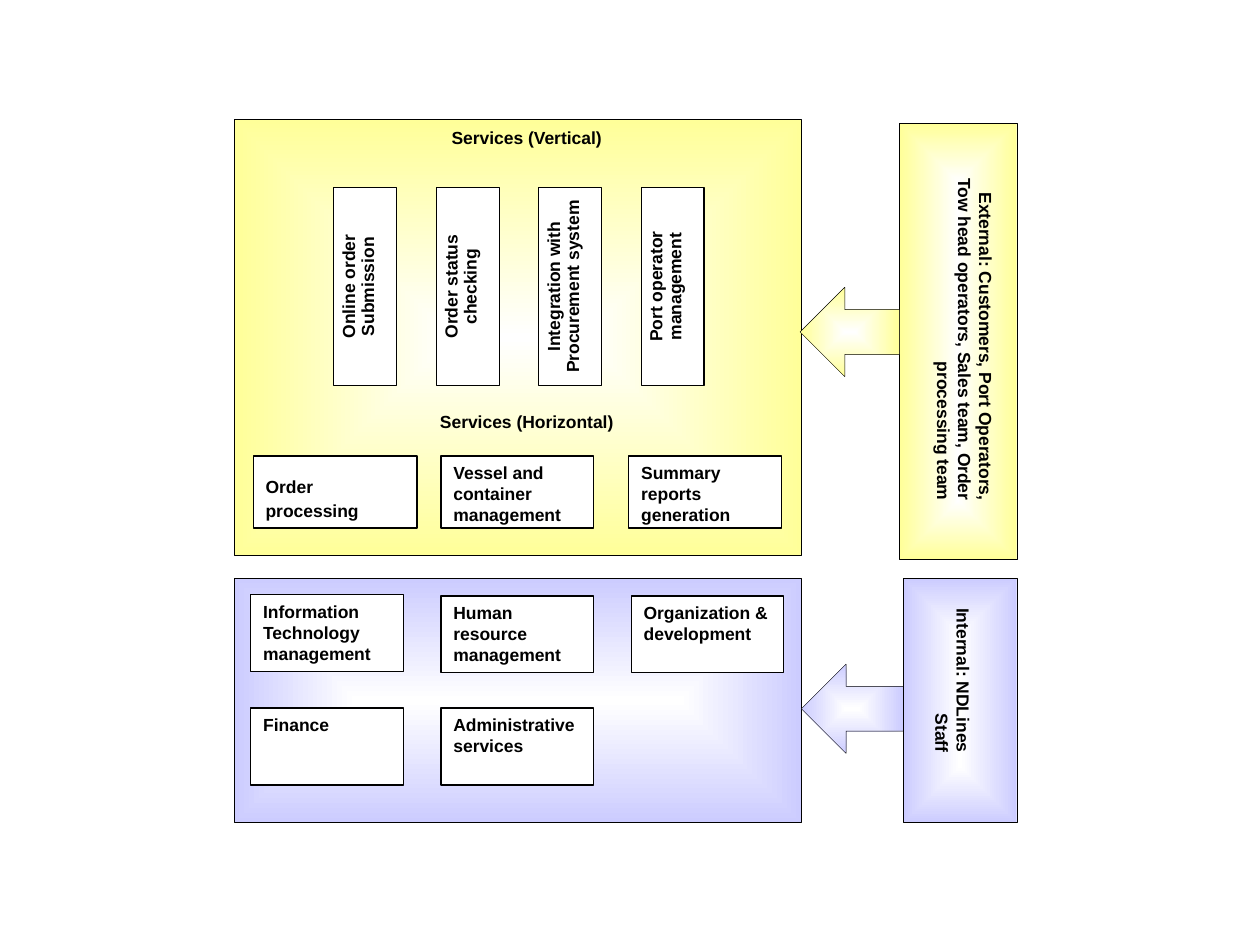
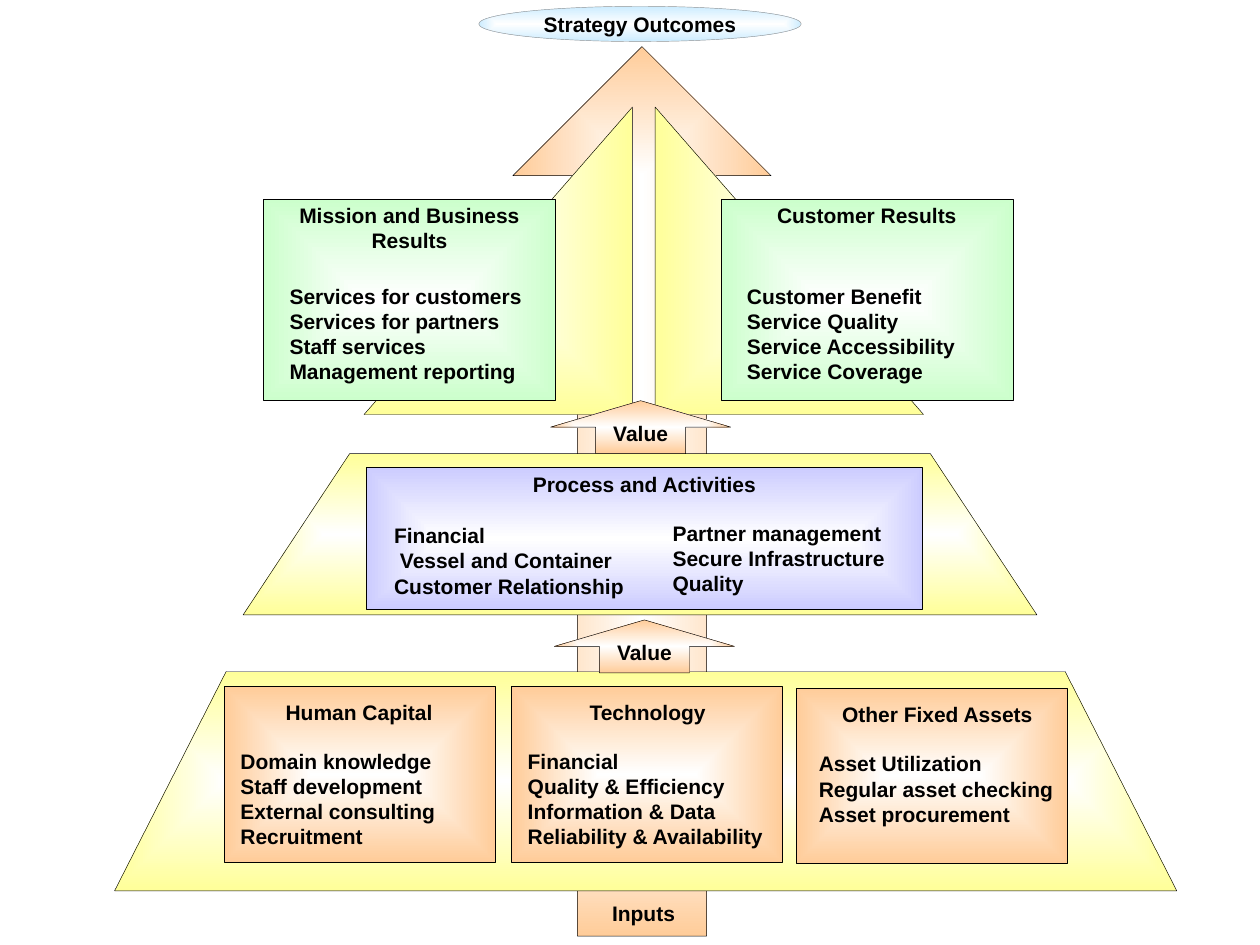
import pptx
import pptx.util
import pptx.dml.color
import pptx.enum.shapes
import pptx.enum.text
import pptx.oxml
import pptx.oxml.ns

Inches = pptx.util.Inches
Pt = pptx.util.Pt
RGBColor = pptx.dml.color.RGBColor
MSO_SHAPE = pptx.enum.shapes.MSO_SHAPE
LEFT = pptx.enum.text.PP_ALIGN.LEFT
CENTER = pptx.enum.text.PP_ALIGN.CENTER
RIGHT = pptx.enum.text.PP_ALIGN.RIGHT
TOP = pptx.enum.text.MSO_ANCHOR.TOP
MIDDLE = pptx.enum.text.MSO_ANCHOR.MIDDLE

WHITE = RGBColor(0xFF, 0xFF, 0xFF)
BLACK = RGBColor(0x00, 0x00, 0x00)
GREY = RGBColor(0x96, 0x96, 0x96)
YELLOW = RGBColor(0xFF, 0xFF, 0x99)
LAVENDER = RGBColor(0xCC, 0xCC, 0xFF)
ORANGE = RGBColor(0xFF, 0xCC, 0x99)
GREEN = RGBColor(0xCC, 0xFF, 0xCC)
SKY = RGBColor(0xCC, 0xEC, 0xFF)
FONT = "Arial"
GLOW = (
    '<a:path xmlns:a="http://schemas.openxmlformats.org/drawingml/2006/main" path="shape">'
    '<a:fillToRect l="50000" t="50000" r="50000" b="50000"/></a:path>'
)


def add_block(slide, kind, box, color, outline=BLACK):
    block = slide.shapes.add_shape(kind, *map(Inches, box))
    block.shadow.inherit = False
    block.line.color.rgb = outline
    if color == WHITE:
        block.fill.solid()
        block.fill.fore_color.rgb = WHITE
        block.line.width = Pt(0.75)
        return block
    block.fill.gradient()
    for stop, stop_color in zip(block.fill.gradient_stops, (WHITE, color)):
        stop.color.rgb = stop_color
    gradient = block._element.spPr.find(pptx.oxml.ns.qn("a:gradFill"))
    gradient.replace(gradient.find(pptx.oxml.ns.qn("a:lin")), pptx.oxml.parse_xml(GLOW))
    block.line.width = Pt(0.25)
    return block


def write(holder, lines, size, align=LEFT, spacing=None, direction=None, anchor=TOP):
    frame = holder.text_frame
    frame.word_wrap = True
    frame.vertical_anchor = anchor
    frame.text = "\n".join(lines)
    if direction:
        frame._txBody.bodyPr.set("vert", direction)
    for paragraph in frame.paragraphs:
        paragraph.alignment = align
        paragraph.line_spacing = spacing
        paragraph.font.name = FONT
        paragraph.font.size = Pt(size)
        paragraph.font.bold = True
        paragraph.font.color.rgb = BLACK
    return frame


deck = pptx.Presentation()
deck.slide_width = Inches(10)
deck.slide_height = Inches(7.5)
blank = deck.slide_layouts[6]

services = deck.slides.add_slide(blank)
for kind, box, color in (
    (MSO_SHAPE.RECTANGLE, (1.86, 0.95, 4.5, 3.46), YELLOW),
    (MSO_SHAPE.RECTANGLE, (1.86, 4.59, 4.5, 1.94), LAVENDER),
    (MSO_SHAPE.RECTANGLE, (7.14, 0.98, 0.93, 3.46), YELLOW),
    (MSO_SHAPE.LEFT_ARROW, (6.35, 2.28, 0.79, 0.71), YELLOW),
    (MSO_SHAPE.RECTANGLE, (7.17, 4.59, 0.9, 1.94), LAVENDER),
    (MSO_SHAPE.LEFT_ARROW, (6.36, 5.27, 0.81, 0.71), LAVENDER),
):
    add_block(services, kind, box, color)

for heading, top in (("Services (Vertical)", 0.98), ("Services (Horizontal)", 3.23)):
    heading_box = services.shapes.add_textbox(Inches(2.91), Inches(top), Inches(2.54), Inches(0.25))
    write(heading_box, [heading], 10, CENTER, 0.9)

vertical_services = (
    "Online order Submission",
    "Order status checking",
    "Integration with Procurement system",
    "Port operator management",
)
for column, service in enumerate(vertical_services):
    pillar = add_block(services, MSO_SHAPE.RECTANGLE, (2.65 + column * 0.813, 1.49, 0.5, 1.57), WHITE)
    write(pillar, [service], 10, CENTER, 0.9, "vert270")

order_box = add_block(services, MSO_SHAPE.RECTANGLE, (2.01, 3.62, 1.3, 0.57), WHITE)
order_line = write(order_box, ["Order"], 10).paragraphs[0]
wide_space = order_line.add_run()
wide_space.text = " "
wide_space.font.size = Pt(18)
wide_space.font.bold = False
order_line.add_run().text = "processing"

for name, left, top, height in (
    ("Vessel and container management", 3.5, 3.62, 0.57),
    ("Summary reports generation", 4.99, 3.62, 0.57),
    ("Information Technology management", 1.99, 4.72, 0.61),
    ("Human resource management", 3.5, 4.73, 0.61),
    ("Organization & development", 5.01, 4.73, 0.61),
    ("Finance", 1.99, 5.62, 0.61),
    ("Administrative services", 3.5, 5.62, 0.61),
):
    write(add_block(services, MSO_SHAPE.RECTANGLE, (left, top, 1.21, height), WHITE), [name], 10)

external = "External: Customers, Port Operators, Tow head operators, Sales team, Order processing team"
for users, box in (
    (external, (7.25, 1.25, 0.71, 2.82)),
    ("Internal: NDLines Staff", (7.25, 4.65, 0.53, 1.42)),
):
    users_box = services.shapes.add_textbox(*map(Inches, box))
    write(users_box, [users], 10, RIGHT, None, "vert")

strategy = deck.slides.add_slide(blank)
add_block(strategy, MSO_SHAPE.UP_ARROW, (4.07, 0.37, 2.05, 7.06), ORANGE)
add_block(strategy, MSO_SHAPE.RIGHT_TRIANGLE, (5.2, 0.85, 2.13, 2.44), YELLOW)
for box, slant in (((1.93, 3.6, 6.3, 1.28), 0.661), ((0.91, 5.33, 8.43, 1.74), 0.509)):
    tier = add_block(strategy, MSO_SHAPE.TRAPEZOID, box, YELLOW)
    tier.adjustments[0] = slant
left_wing = add_block(strategy, MSO_SHAPE.RIGHT_TRIANGLE, (2.89, 0.85, 2.13, 2.44), YELLOW)
left_wing._element.spPr.xfrm.set("flipH", "1")

cards = (
    ((2.09, 1.58, 2.32, 1.6), GREEN, "Mission and Business Results", (2.09, 1.56, 2.32), (
        (2.2, 2.2, ("Services for customers", "Services for partners",
                    "Staff services", "Management reporting")),)),
    ((5.72, 1.58, 2.32, 1.6), GREEN, "Customer Results", (5.72, 1.56, 2.32), (
        (5.83, 2.2, ("Customer Benefit", "Service Quality",
                     "Service Accessibility", "Service Coverage")),)),
    ((2.91, 3.71, 4.41, 1.13), LAVENDER, "Process and Activities", (2.91, 3.69, 4.41), (
        (3.03, 4.1, ("Financial", " Vessel and Container", "Customer Relationship")),
        (5.24, 4.08, ("Partner management", "Secure Infrastructure", "Quality")))),
    ((1.78, 5.45, 2.15, 1.39), ORANGE, "Human Capital", (1.69, 5.5, 2.32), (
        (1.81, 5.89, ("Domain knowledge", "Staff development",
                      "External consulting", "Recruitment")),)),
    ((4.06, 5.45, 2.15, 1.39), ORANGE, "Technology", (3.98, 5.5, 2.32), (
        (4.09, 5.89, ("Financial", "Quality & Efficiency",
                      "Information & Data", "Reliability & Availability")),)),
    ((6.32, 5.46, 2.15, 1.39), ORANGE, "Other Fixed Assets", (6.28, 5.52, 2.32), (
        (6.4, 5.91, ("Asset Utilization", "Regular asset checking", "Asset procurement")),)),
)
for box, color, heading, heading_place, topic_lists in cards:
    add_block(strategy, MSO_SHAPE.RECTANGLE, box, color)
    heading_box = strategy.shapes.add_textbox(*map(Inches, heading_place), Inches(0.3))
    write(heading_box, [heading], 12, CENTER)
    for left, top, topics in topic_lists:
        topics_box = strategy.shapes.add_textbox(
            Inches(left), Inches(top), Inches(2.2), Inches(0.11 + 0.2 * len(topics)))
        write(topics_box, topics, 12)

for left, top in ((4.37, 3.18), (4.4, 4.92)):
    value_arrow = add_block(strategy, MSO_SHAPE.UP_ARROW, (left, top, 1.43, 0.42), ORANGE)
    write(value_arrow, ["Value"], 12, CENTER).word_wrap = False

outcomes = add_block(strategy, MSO_SHAPE.OVAL, (3.8, 0.05, 2.56, 0.28), SKY, GREY)
outcomes_frame = write(outcomes, ["Strategy Outcomes"], 12, CENTER, anchor=MIDDLE)
outcomes_frame.margin_left = outcomes_frame.margin_right = 0
outcomes_frame.margin_top = outcomes_frame.margin_bottom = 0

inputs_box = strategy.shapes.add_textbox(Inches(4.76), Inches(7.1), Inches(0.94), Inches(0.3))
write(inputs_box, ["Inputs"], 12)

deck.save("out.pptx")
